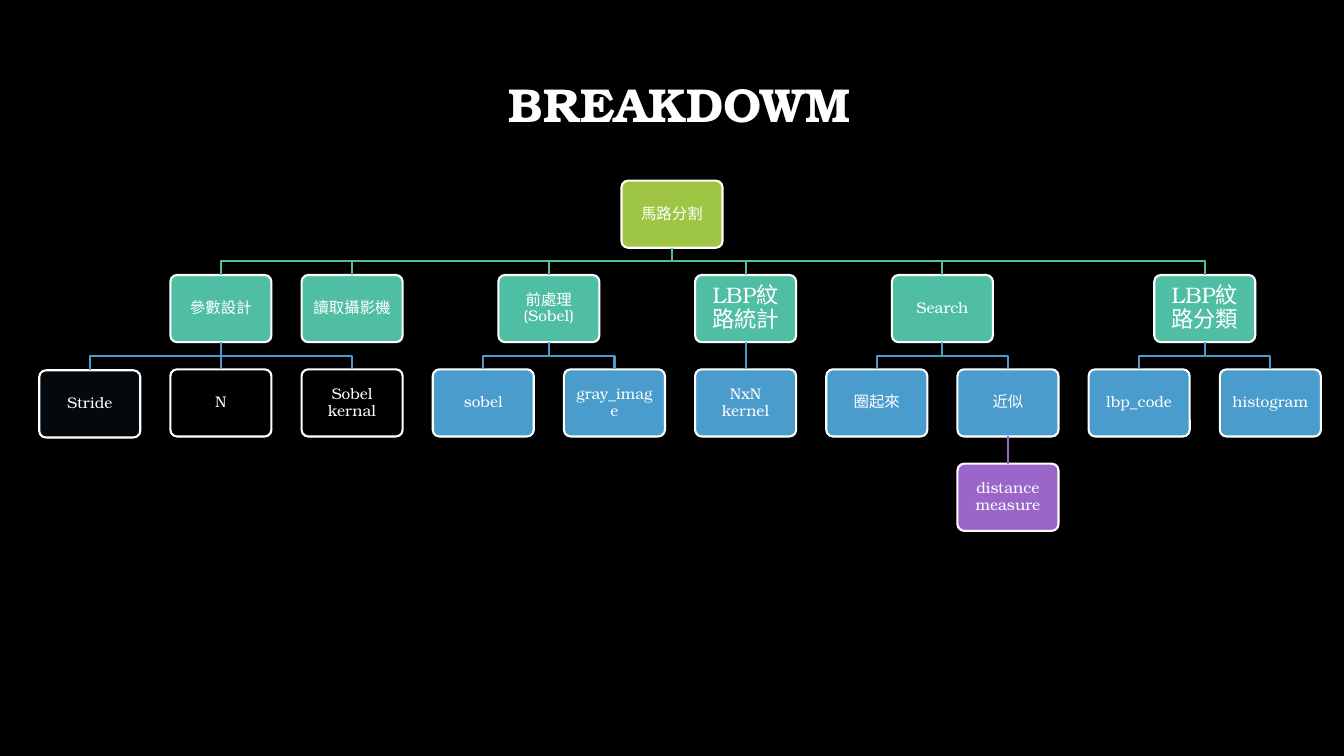
from dataclasses import dataclass, field
from typing import Any, Optional

from lxml.etree import SubElement
from pptx import Presentation
from pptx.dml.color import RGBColor
from pptx.enum.shapes import MSO_CONNECTOR as Link, MSO_SHAPE as Kind
from pptx.enum.text import MSO_ANCHOR as Anchor, PP_ALIGN as Align
from pptx.oxml.ns import qn
from pptx.util import Pt

BLACK = RGBColor(0x00, 0x00, 0x00)
INK = RGBColor(0x04, 0x09, 0x0D)
WHITE = RGBColor(0xFF, 0xFF, 0xFF)
LIME = RGBColor(0x9E, 0xC5, 0x44)
TEAL = RGBColor(0x50, 0xBE, 0xA3)
BLUE = RGBColor(0x4A, 0x9C, 0xCC)
PLUM = RGBColor(0x9A, 0x66, 0xCA)
TINTS = [LIME, TEAL, BLUE, PLUM]  # one per level of the tree

FACE = "TeX Gyre Bonum"
WIDE, HIGH = 960, 540
BOX_W, BOX_H = 72.2, 48
FIRST, PITCH = 64.1, 93.7  # middle of column 0, column step
TOP, STEP = 129, 67.4  # top of level 0, level step
STROKE = 1.5


@dataclass
class Node:
    text: str
    col: Optional[float] = None  # left out: middle of the children
    kids: list["Node"] = field(default_factory=list)
    fill: Optional[RGBColor] = None
    size: float = 11
    inset: float = 5
    drop: float = 0

    def place(self) -> float:
        if self.col is not None:
            return self.col
        return (self.kids[0].place() + self.kids[-1].place()) / 2


BIG = {"size": 16, "inset": 6.5}
TREE = Node("馬路分割", (WIDE / 2 - FIRST) / PITCH, [
    Node("參數設計", kids=[
        Node("Stride", 0, fill=INK, drop=0.7),
        Node("N", 1, fill=BLACK),
        Node("Sobel kernal", 2, fill=BLACK),
    ]),
    Node("讀取攝影機", 2),
    Node("前處理(Sobel)", kids=[Node("sobel", 3), Node("gray_image", 4)]),
    Node("LBP紋路統計", kids=[Node("NxN kernel", 5)], **BIG),
    Node("Search", kids=[
        Node("圈起來", 6),
        Node("近似", 7, [Node("distance measure", 7)]),
    ]),
    Node("LBP紋路分類", kids=[Node("lbp_code", 8), Node("histogram", 9)], **BIG),
])


def dress(item: Any, form: dict[str, Any]) -> None:
    for name, value in form.items():
        setattr(item, name, value)


def write(shape: Any, text: str, size: float, bold: bool, inset: dict[str, Any]) -> None:
    frame = shape.text_frame
    frame.text = text
    dress(frame, {"word_wrap": True, "vertical_anchor": Anchor.MIDDLE, **inset})
    para = frame.paragraphs[0]
    dress(para, {"alignment": Align.CENTER, "line_spacing": 0.9})
    font = para.runs[0].font
    dress(font, {"name": FACE, "size": Pt(size), "bold": bold})
    font.color.rgb = WHITE


def stroke(shape: Any, tint: RGBColor) -> None:
    shape.line.color.rgb = tint
    shape.line.width = Pt(STROKE)


def draw_box(slide: Any, node: Node, level: int) -> Any:
    mid = FIRST + node.place() * PITCH
    box = slide.shapes.add_shape(
        Kind.ROUNDED_RECTANGLE, Pt(mid - BOX_W / 2), Pt(TOP + level * STEP + node.drop),
        Pt(BOX_W), Pt(BOX_H))
    box.adjustments[0] = 0.1
    box.shadow.inherit = False
    box.fill.solid()
    box.fill.fore_color.rgb = TINTS[level] if node.fill is None else node.fill
    stroke(box, WHITE)
    sides = ("left", "top", "right", "bottom")
    write(box, node.text, node.size, False,
          {f"margin_{side}": Pt(node.inset) for side in sides})
    return box


def draw_link(slide: Any, head: Any, child: Any, tint: RGBColor) -> None:
    start = head.left + head.width // 2
    end = child.left + child.width // 2
    base = head.top + head.height
    if abs(start - end) < Pt(1):
        line = slide.shapes.add_connector(Link.STRAIGHT, start, base, end, child.top)
        line.begin_connect(head, 2)
        line.end_connect(child, 0)
        SubElement(line._element.spPr, qn("a:effectLst"))
    else:
        bend = (base + child.top) // 2
        path = slide.shapes.build_freeform(start, base)
        path.add_line_segments([(start, bend), (end, bend), (end, child.top)], close=False)
        line = path.convert_to_shape()
        line.fill.background()
        line.shadow.inherit = False
    stroke(line, tint)


def draw_tree(slide: Any, node: Node, level: int = 0) -> Any:
    box = draw_box(slide, node, level)
    for kid in node.kids:
        child = draw_tree(slide, kid, level + 1)
        draw_link(slide, box, child, TINTS[level + 1])
    return box


def main() -> None:
    deck = Presentation()
    dress(deck, {"slide_width": Pt(WIDE), "slide_height": Pt(HIGH)})
    slide = deck.slides.add_slide(deck.slide_layouts[5])
    slide.background.fill.solid()
    slide.background.fill.fore_color.rgb = BLACK

    # Title
    title = slide.shapes.title
    dress(title, {"left": Pt(78), "top": Pt(24.5), "width": Pt(815), "height": Pt(104.5)})
    write(title, "BREAKDOWM", 34, True, {})

    # Tree of boxes
    draw_tree(slide, TREE)
    deck.save("out.pptx")


if __name__ == "__main__":
    main()
